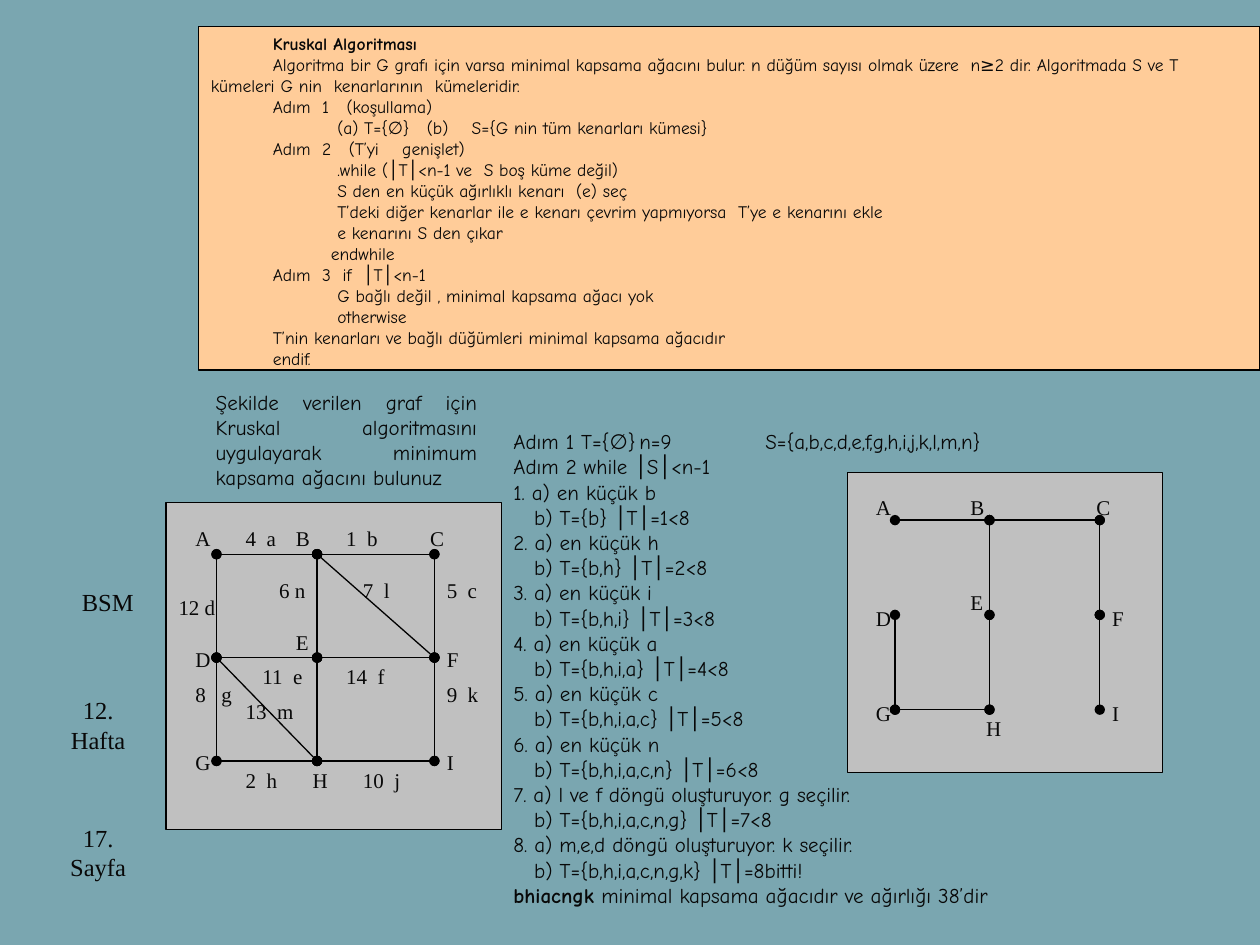
"""Build the slide on Kruskal's algorithm with its weighted graph and spanning tree."""
from lxml import etree
from pptx import Presentation, util as u
from pptx.dml.color import RGBColor
from pptx.enum import shapes, text
from pptx.oxml import ns

THEME = {
    "back": "7AA6B0", "note": "FFCC99", "panel": "C0C0C0", "ink": "080808", "line": "000000",
    "hand": "Comic Neue", "serif": "Times New Roman",
    "small": 10, "body": 12, "side": 14, "stroke": 0.75,
}

TITLE = "Kruskal Algoritması"
RULES = [
    (1.25, "Algoritma bir G grafı için varsa minimal kapsama ağacını bulur. n düğüm sayısı olmak "
           "üzere  n≥2 dir. Algoritmada S ve T kümeleri G nin  kenarlarının  kümeleridir."),
    (1.25, "Adım  1   (koşullama)"),
    (2.55, "(a) T={∅}   (b)    S={G nin tüm kenarları kümesi}"),
    (1.25, "Adım  2   (T’yi    genişlet)"),
    (2.55, ".while (│T│<n-1 ve  S boş küme değil)"),
    (2.55, "S den en küçük ağırlıklı kenarı  (e) seç"),
    (2.55, "T’deki diğer kenarlar ile e kenarı çevrim yapmıyorsa  T’ye e kenarını ekle"),
    (2.55, "e kenarını S den çıkar"),
    (2.42, "endwhile"),
    (1.25, "Adım  3  if  │T│<n-1"),
    (2.55, "G bağlı değil , minimal kapsama ağacı yok"),
    (2.55, "otherwise"),
    (1.25, "T’nin kenarları ve bağlı düğümleri minimal kapsama ağacıdır"),
    (1.25, "endif."),
]
TASK = "Şekilde verilen graf için Kruskal algoritmasını uygulayarak minimum kapsama ağacını bulunuz"
START = [
    (0, "Adım 1 T={∅}\tn=9\t\tS={a,b,c,d,e,f,g,h,i,j,k,l,m,n}"),
    (0, "Adım 2 while │S│<n-1"),
]
ORDER = "bhiacngk"
PICKS = ["en küçük " + edge for edge in ORDER[:6]] + [
    "l ve f döngü oluşturuyor. g seçilir.", "m,e,d döngü oluşturuyor. k seçilir."]
DONE = "bitti!"
RESULT = " minimal kapsama ağacıdır ve ağırlığı 38’dir"
SIDE = [
    ("BSM", (1.4, 11.71, 1.57, 0.86), "LEFT"),
    ("12. Hafta", (0.99, 13.89, 1.98, 1.78), "CENTER"),
    ("17. Sayfa", (0.99, 16.46, 1.98, 1.57), "CENTER"),
]

# Node and label places count cells of a panel that is 20 cells wide and 19 high.
CELLS = (20, 19)
NODES = dict(zip("ABCDEFGHI", [(x, y) for y in (3, 9, 15) for x in (3, 9, 16)]))
NAMES = [("A", 1, 1), ("B", 7, 1), ("C", 15, 1), ("D", 1, 8), ("E", 7, 7),
         ("F", 16, 8), ("G", 1, 14), ("H", 8, 15), ("I", 16, 14)]
COSTS = [
    ("4  a", 4, 1), ("1  b", 10, 1), ("5  c", 16, 4), ("12 d", 0, 5), ("11  e", 5, 9),
    ("14  f", 10, 9), ("8   g", 1, 10), ("2  h", 4, 15), ("10  j", 11, 15), ("9  k", 16, 10),
    ("7  l", 11, 4), ("13  m", 4, 11), ("6 n", 6, 4),
]
GRAPHS = [
    ((3.35, 10.13, 6.76, 6.6), "AB BC CF FI BE FE IH HE ED DA HG DG BF DH", NAMES + COSTS),
    ((17.09, 9.53, 6.35, 6.05), "AB BC CF FI BE HE HG DG", NAMES),
]


def tint(name):
    return RGBColor.from_string(THEME[name])


def place(box):
    return [u.Cm(side) for side in box]


def add_run(para, words, font, size, bold=False):
    run = para.add_run()
    run.text = words
    run.font.name, run.font.size, run.font.bold = THEME[font], u.Pt(THEME[size]), bold
    run.font.color.rgb = tint("ink")


def set_indent(para, indent):
    props = para._p.get_or_add_pPr()
    props.set("marL", "0")
    props.set("indent", str(u.Cm(indent)))


def write(frame, lines, font, size, align="LEFT"):
    frame.word_wrap = True
    for i, (indent, runs) in enumerate(lines):
        para = frame.add_paragraph() if i else frame.paragraphs[0]
        set_indent(para, indent)
        para.alignment = getattr(text.PP_ALIGN, align)
        for words, bold in runs:
            add_run(para, words, font, size, bold)


def plain(lines):
    return [(indent, [(words, False)]) for indent, words in lines]


def add_text(parent, box, lines, font, size, align="LEFT", anchor="TOP"):
    frame = parent.add_textbox(*place(box)).text_frame
    frame.vertical_anchor = getattr(text.MSO_ANCHOR, anchor)
    write(frame, lines, font, size, align)


def add_panel(parent, box, fill):
    panel = parent.add_shape(shapes.MSO_SHAPE.RECTANGLE, *place(box))
    panel.shadow.inherit = False
    panel.fill.solid()
    panel.fill.fore_color.rgb = tint(fill)
    panel.line.color.rgb = tint("line")
    panel.line.width = u.Pt(THEME["stroke"])
    return panel


def add_edge(parent, start, end):
    edge = parent.add_connector(shapes.MSO_CONNECTOR.STRAIGHT, *place(start + end))
    edge.line.color.rgb = tint("line")
    edge.line.width = u.Pt(THEME["stroke"])
    props = edge.element.spPr
    for tip in ("a:headEnd", "a:tailEnd"):
        etree.SubElement(props.find(ns.qn("a:ln")), ns.qn(tip), type="oval")
    etree.SubElement(props, ns.qn("a:effectLst"))


def add_graph(slide, box, edges, labels):
    left, top, width, height = box
    dx, dy = width / CELLS[0], height / CELLS[1]
    group = slide.shapes.add_group_shape().shapes

    def spot(x, y):
        return (left + x * dx, top + y * dy)

    add_panel(group, box, "panel")
    for a, b in edges.split():
        add_edge(group, spot(*NODES[a]), spot(*NODES[b]))
    for words, x, y in labels:
        wide = 5 if len(words) > 4 else 4
        add_text(group, spot(x, y) + (wide * dx, 4 * dy), plain([(0, words)]), "serif", "body")


def trace():
    lines = plain(START)
    for i, pick in enumerate(PICKS, 1):
        tail = f"={i}<8" if i < len(PICKS) else f"={i}{DONE}"
        lines += plain([(0, f"{i}. a) {pick}"),
                        (0.42, f"b) T={{{','.join(ORDER[:i])}}} │T│{tail}")])
    return lines + [(0, [(ORDER, True), (RESULT, False)])]


def main():
    deck = Presentation()
    deck.slide_width, deck.slide_height = u.Cm(25.4), u.Cm(19.05)
    slide = deck.slides.add_slide(deck.slide_layouts[6])
    slide.background.fill.solid()
    slide.background.fill.fore_color.rgb = tint("back")

    frame = add_panel(slide.shapes, (4, 0.53, 21.4, 6.93), "note").text_frame
    frame.margin_bottom = 0
    frame.vertical_anchor = text.MSO_ANCHOR.MIDDLE
    write(frame, [(1.25, [(TITLE, True)])] + plain(RULES), "hand", "small")

    add_text(slide.shapes, (4.1, 7.72, 5.77, 2.29), plain([(0, TASK)]),
             "hand", "body", "JUSTIFY", "MIDDLE")
    add_text(slide.shapes, (10.1, 8.53, 13.54, 9.88), trace(), "hand", "body", anchor="MIDDLE")
    for graph in GRAPHS:
        add_graph(slide, *graph)
    for words, box, align in SIDE:
        add_text(slide.shapes, box, plain([(0, words)]), "serif", "side", align)
    deck.save("out.pptx")


if __name__ == "__main__":
    main()
